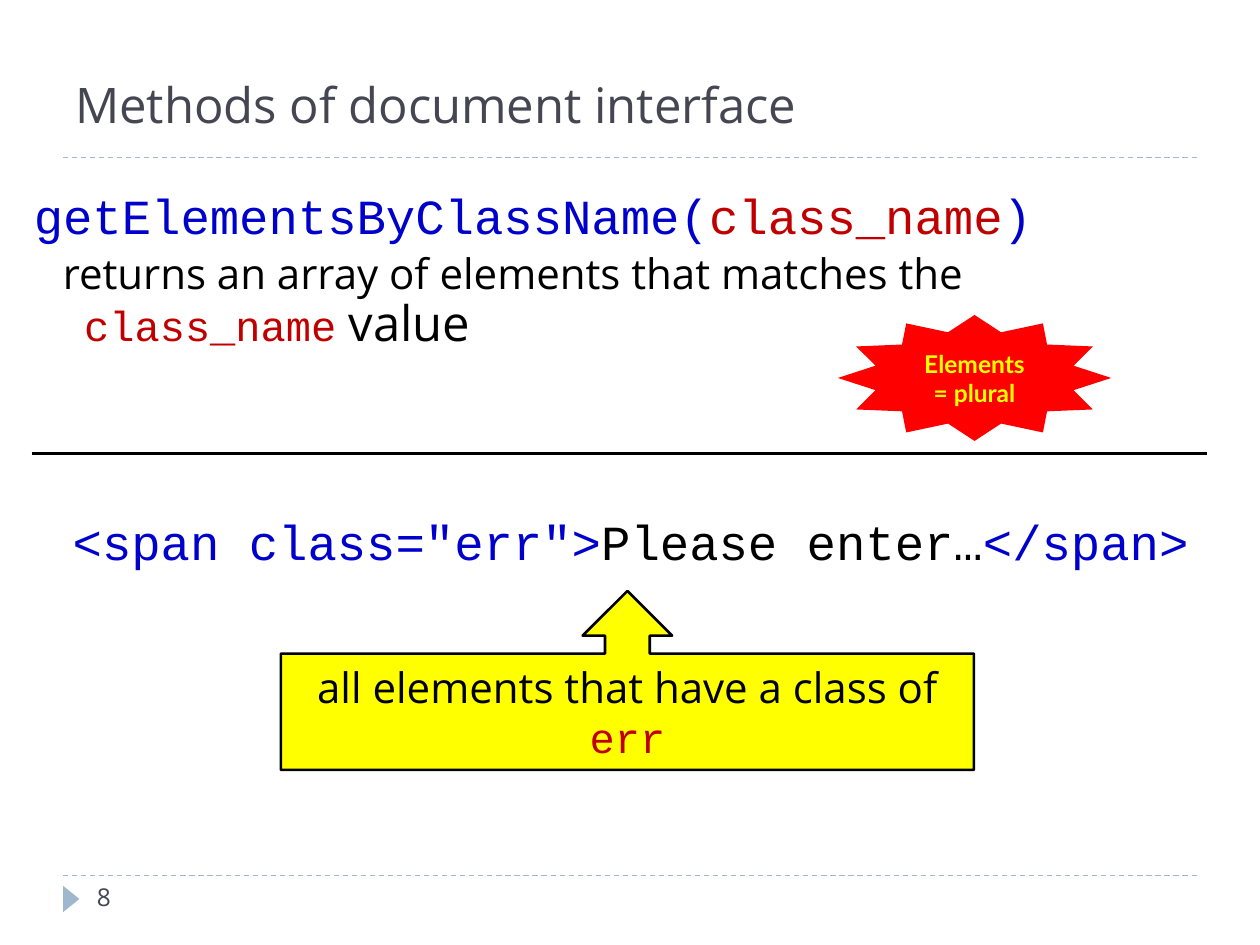
from lxml import etree
from pptx import Presentation
from pptx import util as u
from pptx.dml.color import RGBColor
from pptx.enum import dml, shapes, text
from pptx.oxml.ns import qn

SANS, MONO, BADGE = "Open Sans", "Courier New", "Lato"
BLUE, RED, BLACK, SLATE, MIST = "0000CC", "C00000", "000000", "464653", "9FB8CD"
YELLOW = "FFFF00"
CENTER = text.PP_ALIGN.CENTER


def rgb(value):
    return RGBColor.from_string(value)


def inches(*values):
    return [u.Inches(value) for value in values]


class Deck:
    def __init__(self, width, height):
        self.prs = Presentation()
        self.prs.slide_width, self.prs.slide_height = inches(width, height)
        self.slide = self.prs.slides.add_slide(self.prs.slide_layouts[6])

    def fill_text(self, frame, paragraphs, anchor):
        frame.word_wrap = True
        frame.vertical_anchor = anchor
        for i, (runs, layout) in enumerate(paragraphs):
            para = frame.paragraphs[0] if i == 0 else frame.add_paragraph()
            layout = dict(layout)
            indent = layout.pop("indent", 0)
            if indent:
                para._p.get_or_add_pPr().set("marL", str(u.Inches(indent)))
            for name, value in layout.items():
                setattr(para, name, value)
            for words, font, size, color, bold in runs:
                run = para.add_run()
                run.text = words
                style = {"name": font, "size": u.Pt(size), "bold": bold}
                for name, value in style.items():
                    setattr(run.font, name, value)
                run.font.color.rgb = rgb(color)

    def label(self, at, paragraphs, anchor=text.MSO_ANCHOR.TOP):
        box = self.slide.shapes.add_textbox(*inches(*at))
        self.fill_text(box.text_frame, paragraphs, anchor)

    def shape(self, kind, at, fill, paragraphs=(), line=None, rotation=0):
        item = self.slide.shapes.add_shape(kind, *inches(*at))
        item.shadow.inherit = False
        item.rotation = rotation
        item.fill.solid()
        item.fill.fore_color.rgb = rgb(fill)
        if line:
            item.line.color.rgb = rgb(line)
            item.line.width = u.Pt(1.5)
        else:
            item.line.fill.background()
        self.fill_text(item.text_frame, paragraphs, text.MSO_ANCHOR.MIDDLE)

    def rule(self, left, right, y, color, width, dash=None):
        item = self.slide.shapes.add_connector(
            shapes.MSO_CONNECTOR.STRAIGHT, *inches(left, y, right, y))
        item.line.color.rgb = rgb(color)
        item.line.width = u.Pt(width)
        if dash:
            item.line.dash_style = dash
        etree.SubElement(item._element.spPr, qn("a:effectLst"))


def run(words, font=SANS, size=24, color=BLACK, bold=False):
    return words, font, size, color, bold


def code(words, color=BLUE, size=28):
    return run(words, MONO, size, color)


deck = Deck(10, 7.5)
for y in (6.95, 1.25):
    deck.rule(0.5, 9.5, y, MIST, 0.75, dml.MSO_LINE.DASH)
deck.shape(shapes.MSO_SHAPE.ISOSCELES_TRIANGLE, (0.46, 7.07, 0.21, 0.13),
           MIST, rotation=90)

deck.label((0.5, 0.19, 9, 0.92),
           [([run("Methods of document interface", size=28, color=SLATE)], {})],
           text.MSO_ANCHOR.BOTTOM)
deck.label((0.17, 1.42, 9.67, 1.7), [
    ([code("getElementsByClassName("), code("class_name", RED), code(")")], {}),
    ([run("returns an array of elements that matches the")],
     {"indent": 0.23, "space_before": u.Pt(2)}),
    ([code("class_name", RED, 24), run(" value", size=28)],
     {"indent": 0.4, "line_spacing": 0.93}),
])
deck.label((0.17, 4.01, 9.67, 0.55), [
    ([code('<span class="err">'), code("Please enter…", BLACK), code("</span>")],
     {"alignment": CENTER}),
])
deck.label((0.67, 6.95, 2.17, 0.4), [([run("8", size=14, color=SLATE)], {})])

deck.shape(shapes.MSO_SHAPE.UP_ARROW_CALLOUT, (2.23, 4.69, 5.5, 1.42), YELLOW, [
    ([run("all elements that have a class of "), code("err", RED, 24)],
     {"alignment": CENTER}),
], line=BLACK)
deck.rule(0.25, 9.58, 3.6, BLACK, 1.75)
deck.shape(shapes.MSO_SHAPE.STAR_12_POINT, (6.65, 2.5, 2.17, 1), "FF0000", [
    ([run(words, BADGE, 14, YELLOW, True)], {"alignment": CENTER})
    for words in ("Elements", "= plural")
])

deck.prs.save("out.pptx")
